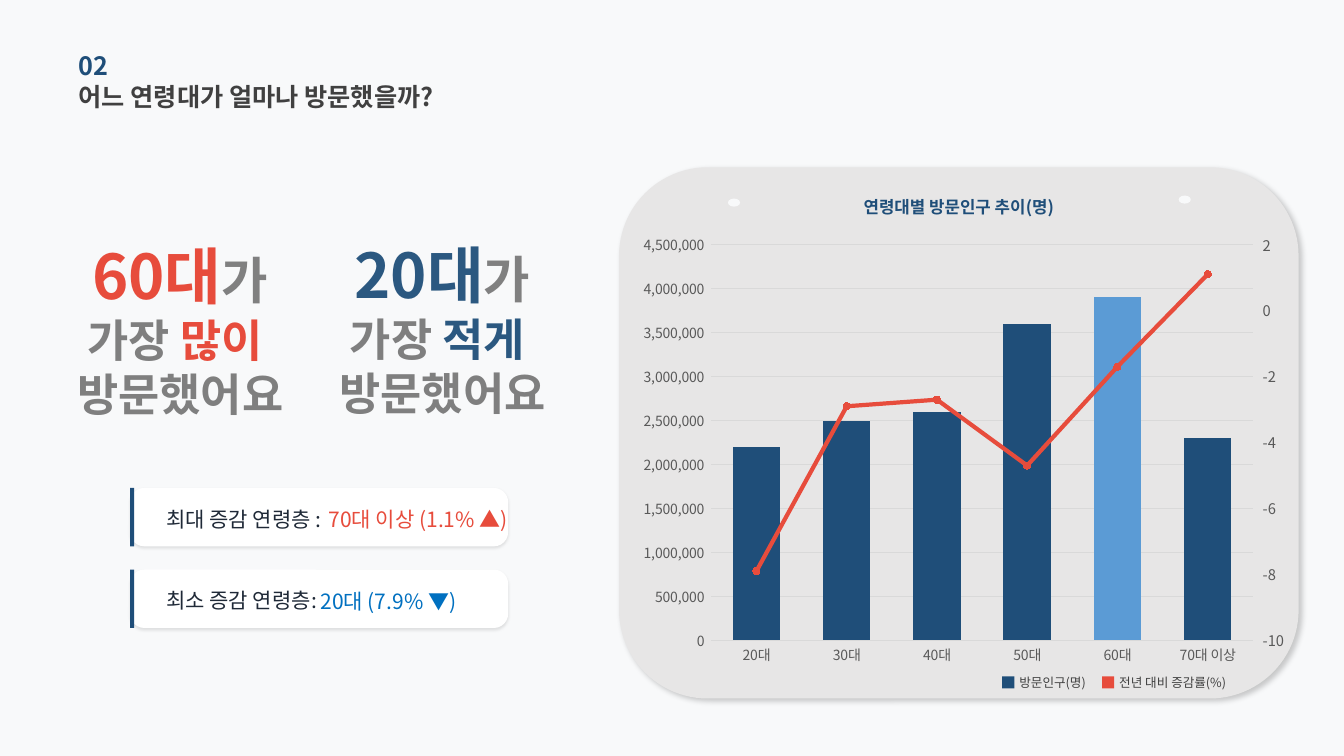
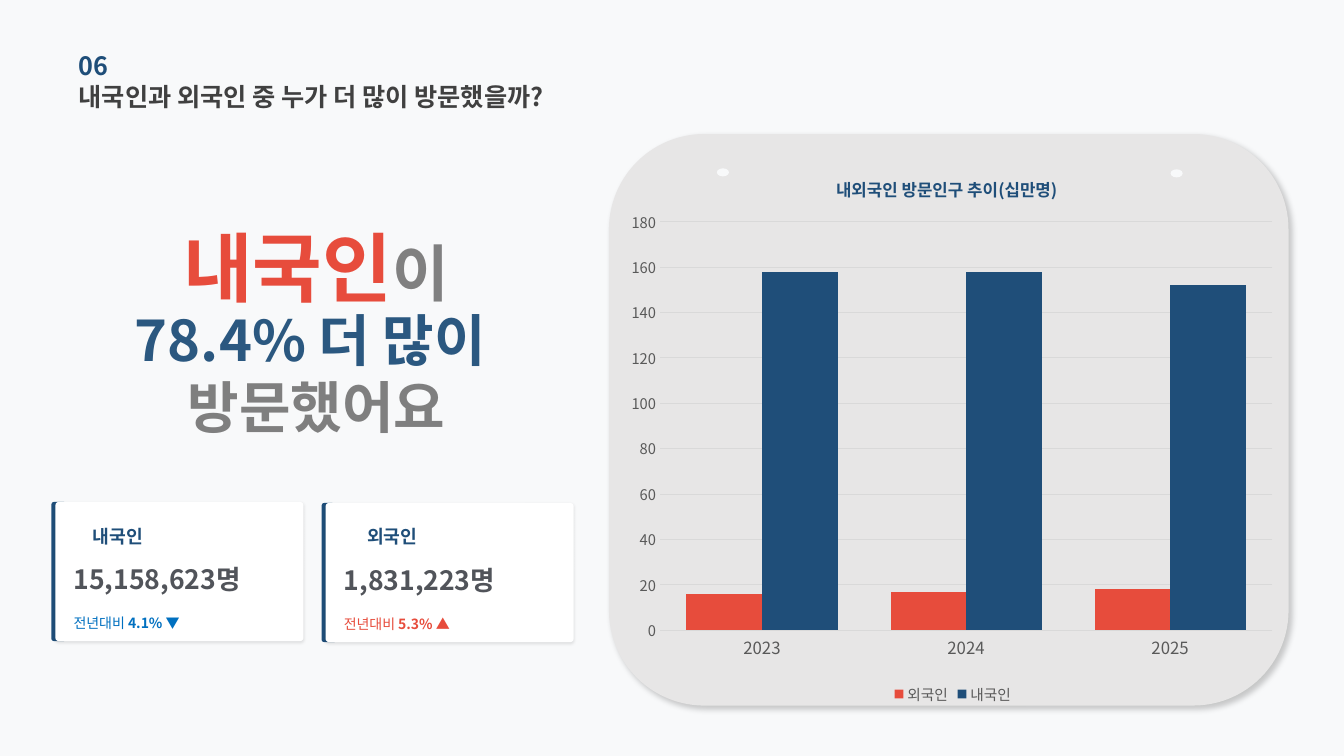
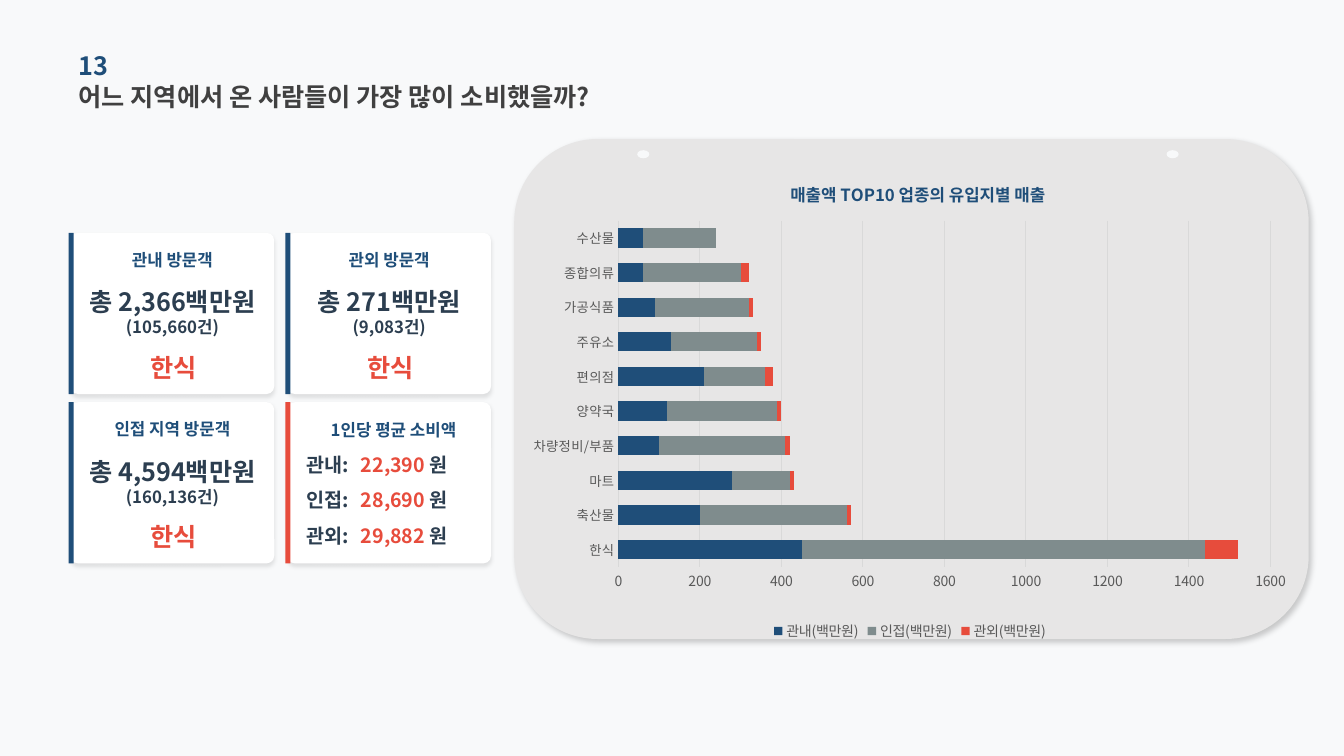
from pptx import Presentation
from pptx.chart.data import CategoryChartData
from pptx.dml.color import RGBColor
from pptx.enum.chart import XL_CHART_TYPE, XL_LEGEND_POSITION, XL_MARKER_STYLE, XL_TICK_MARK
from pptx.enum.shapes import MSO_SHAPE
from pptx.enum.text import MSO_ANCHOR, PP_ALIGN
from pptx.oxml import parse_xml
from pptx.oxml.ns import nsdecls, qn
from pptx.util import Pt
from lxml.etree import SubElement

PX = 9144
FONT = "Noto Sans CJK KR"
PAPER, PANEL, WHITE = "F8F9FA", "E7E6E6", "FFFFFF"
NAVY, STEEL, RED, BLUE = "1F4E79", "2B5880", "E74C3C", "0070C0"
DARK, GRAY, SLATE, AXIS, GRID = "404040", "7F7F7F", "2C3E50", "595959", "D9D9D9"
PANEL_SHADOW = (20, 4, 3, 45)
CARD_SHADOW = (10, 2, 1, 90)
TILE_SHADOW = (10, 3, 2, 90)
rgb = RGBColor.from_string


def add_box(s, kind, x, y, w, h, color, adj=None, shadow=None):
    sp = s.shapes.add_shape(kind, x * PX, y * PX, w * PX, h * PX)
    sp.shadow.inherit = False
    sp.fill.solid()
    sp.fill.fore_color.rgb = rgb(color)
    sp.line.fill.background()
    if adj is not None:
        sp.adjustments[0] = adj
    if shadow:
        alpha, blur, dist, angle = shadow
        outer = SubElement(sp._element.spPr.find(qn("a:effectLst")), qn("a:outerShdw"),
                           blurRad=str(Pt(blur)), dist=str(Pt(dist)),
                           dir=str(angle * 60000), algn="ctr", rotWithShape="0")
        black = SubElement(outer, qn("a:srgbClr"), val="000000")
        SubElement(black, qn("a:alpha"), val=str(alpha * 1000))


def add_text(s, x, y, w, h, *lines, align=PP_ALIGN.LEFT):
    tf = s.shapes.add_textbox(x * PX, y * PX, w * PX, h * PX).text_frame
    tf.word_wrap = True
    tf.vertical_anchor = MSO_ANCHOR.MIDDLE
    tf.margin_left = tf.margin_right = tf.margin_top = tf.margin_bottom = 0
    for i, line in enumerate(lines):
        p = tf.add_paragraph() if i else tf.paragraphs[0]
        p.alignment = align
        for text, size, color, bold in line:
            r = p.add_run()
            r.text = text
            r.font.name = FONT
            r.font.size = Pt(size)
            r.font.bold = bold
            r.font.color.rgb = rgb(color)


prs = Presentation()
prs.slide_width, prs.slide_height = 1333 * PX, 750 * PX

pages = [
    dict(number="02", title="어느 연령대가 얼마나 방문했을까?",
         panel=(614, 166, 674, 527), holes=[(722, 197), (1169, 194)],
         chart=(626, 225, 663, 446), kind=XL_CHART_TYPE.COLUMN_CLUSTERED,
         chart_title=None, plot=(0.12, 0.04, 0.81, 0.88), gap=90, overlap=-27,
         sizes=(10, 10, 10), scale=(0, 4500000, 500000), number_format="#,##0_ ",
         cats=["20대", "30대", "40대", "50대", "60대", "70대 이상"],
         series=[("방문인구(명)", NAVY, [2200000, 2500000, 2600000, 3600000, 3900000, 2300000]),
                 ("전년 대비 증감률(%)", RED, [-7.9, -2.9, -2.7, -4.7, -1.7, 1.1])]),
    dict(number="06", title="내국인과 외국인 중 누가 더 많이 방문했을까?",
         panel=(604, 133, 674, 567), holes=[(711, 167), (1161, 168)],
         chart=(615, 148, 660, 555), kind=XL_CHART_TYPE.COLUMN_CLUSTERED,
         chart_title=("내외국인 방문인구 추이(십만명)", 0.32, 0.04),
         plot=(0.06, 0.13, 0.92, 0.73), gap=70, overlap=0,
         sizes=(12, 10.5, 10.5), scale=(0, 180, 20), number_format="General",
         cats=["2023", "2024", "2025"],
         series=[("외국인", RED, [16, 17, 18]), ("내국인", NAVY, [158, 158, 152])]),
    dict(number="13", title="어느 지역에서 온 사람들이 가장 많이 소비했을까?",
         panel=(510, 138, 788, 496), holes=[(632, 149), (1157, 149)],
         chart=(522, 156, 761, 484), kind=XL_CHART_TYPE.BAR_STACKED,
         chart_title=("매출액 TOP10 업종의 유입지별 매출", 0.34, 0.04),
         plot=(0.12, 0.13, 0.85, 0.71), gap=80, overlap=100,
         sizes=(9.5, 10, 10), scale=(0, 1600, 200), number_format="General",
         cats=["한식", "축산물", "마트", "차량정비/부품", "양약국", "편의점", "주유소",
               "가공식품", "종합의류", "수산물"],
         series=[("관내(백만원)", NAVY, [450, 200, 280, 100, 120, 210, 130, 90, 60, 60]),
                 ("인접(백만원)", "7F8C8D", [990, 360, 140, 310, 270, 150, 210, 230, 240, 180]),
                 ("관외(백만원)", RED, [80, 10, 10, 10, 10, 20, 10, 10, 20, 0])]),
]

slides, charts = [], []
for page in pages:
    s = prs.slides.add_slide(prs.slide_layouts[6])
    s.background.fill.solid()
    s.background.fill.fore_color.rgb = rgb(PAPER)
    add_box(s, MSO_SHAPE.ROUNDED_RECTANGLE, *page["panel"], PANEL, shadow=PANEL_SHADOW)
    add_text(s, 78, 75, 535, 41, [(page["title"], 18, DARK, True)])
    add_text(s, 78, 44, 452, 41, [(page["number"], 18, NAVY, True)])
    for x, y in page["holes"]:
        add_box(s, MSO_SHAPE.OVAL, x, y, 12, 8, PAPER)

    data = CategoryChartData()
    data.categories = page["cats"]
    for name, color, values in page["series"]:
        data.add_series(name, values)
    box = [n * PX for n in page["chart"]]
    chart = s.shapes.add_chart(page["kind"], *box, data).chart
    chart.font.name = FONT
    chart.font.size = Pt(10)
    plot = chart.plots[0]
    plot.gap_width, plot.overlap = page["gap"], page["overlap"]
    plot.vary_by_categories = False
    for series, (name, color, values) in zip(plot.series, page["series"]):
        series.invert_if_negative = False
        series.format.fill.solid()
        series.format.fill.fore_color.rgb = rgb(color)

    cat_size, val_size, legend_size = page["sizes"]
    cat_axis, val_axis = chart.category_axis, chart.value_axis
    for axis, size in ((cat_axis, cat_size), (val_axis, val_size)):
        axis.major_tick_mark = axis.minor_tick_mark = XL_TICK_MARK.NONE
        font = axis.tick_labels.font
        font.name, font.size = FONT, Pt(size)
        font.color.rgb = rgb(AXIS)
    val_axis.minimum_scale, val_axis.maximum_scale, val_axis.major_unit = page["scale"]
    val_axis.tick_labels.number_format = page["number_format"]
    val_axis.tick_labels.number_format_is_linked = False
    val_axis.has_major_gridlines = True
    val_axis.format.line.fill.background()
    for line in (cat_axis.format.line, val_axis.major_gridlines.format.line):
        line.color.rgb = rgb(GRID)
        line.width = Pt(0.75)

    layouts = [(chart._chartSpace.chart.plotArea, 0, page["plot"])]
    chart.has_legend = chart.has_title = page["chart_title"] is not None
    if chart.has_title:
        text, x, y = page["chart_title"]
        tf = chart.chart_title.text_frame
        tf.text = text
        font = tf.paragraphs[0].runs[0].font
        font.name, font.size, font.bold = FONT, Pt(12), True
        font.color.rgb = rgb(NAVY)
        layouts.append((chart.chart_title._element, 1, (x, y)))
        chart.legend.position = XL_LEGEND_POSITION.BOTTOM
        chart.legend.include_in_layout = False
        font = chart.legend.font
        font.name, font.size = FONT, Pt(legend_size)
        font.color.rgb = rgb(AXIS)
    for parent, index, place in layouts:
        for old in parent.findall(qn("c:layout")):
            parent.remove(old)
        layout = parse_xml(f"<c:layout {nsdecls('c')}/>")
        manual = SubElement(layout, qn("c:manualLayout"))
        if len(place) == 4:
            SubElement(manual, qn("c:layoutTarget"), val="inner")
        for tag in ("xMode", "yMode"):
            SubElement(manual, qn("c:" + tag), val="edge")
        for tag, value in zip("xywh", place):
            SubElement(manual, qn("c:" + tag), val=str(value))
        parent.insert(index, layout)
    slides.append(s)
    charts.append(chart)

age_slide, nation_slide, spend_slide = slides

chart = charts[0]
highlight = chart.plots[0].series[0].points[4].format.fill
highlight.solid()
highlight.fore_color.rgb = rgb("5B9BD5")
bars = chart.plots[0]._element
rate = bars.findall(qn("c:ser"))[1]
rate.remove(rate.find(qn("c:invertIfNegative")))
line_chart = parse_xml(
    f'<c:lineChart {nsdecls("c")}><c:grouping val="standard"/><c:varyColors val="0"/>'
    '<c:marker val="1"/><c:axId val="5001"/><c:axId val="5002"/></c:lineChart>')
line_chart.insert(2, rate)
bars.addnext(line_chart)
right_axes = parse_xml(
    f'<c:plotArea {nsdecls("c", "a")}>'
    '<c:catAx><c:axId val="5001"/><c:scaling><c:orientation val="minMax"/></c:scaling>'
    '<c:delete val="1"/><c:axPos val="b"/><c:crossAx val="5002"/></c:catAx>'
    '<c:valAx><c:axId val="5002"/><c:scaling><c:orientation val="minMax"/>'
    '<c:max val="2"/><c:min val="-10"/></c:scaling><c:delete val="0"/><c:axPos val="r"/>'
    '<c:numFmt formatCode="General" sourceLinked="0"/><c:majorTickMark val="out"/>'
    '<c:minorTickMark val="none"/><c:tickLblPos val="nextTo"/>'
    '<c:spPr><a:ln><a:noFill/></a:ln></c:spPr>'
    '<c:txPr><a:bodyPr/><a:p><a:pPr><a:defRPr sz="1050"><a:solidFill>'
    f'<a:srgbClr val="{AXIS}"/></a:solidFill><a:latin typeface="{FONT}"/></a:defRPr></a:pPr></a:p></c:txPr>'
    '<c:crossAx val="5001"/><c:crosses val="max"/><c:majorUnit val="2"/></c:valAx></c:plotArea>')
last_axis = chart.value_axis._element
for axis in reversed(list(right_axes)):
    last_axis.addnext(axis)
series = chart.plots[1].series[0]
series.smooth = False
series.format.line.color.rgb = rgb(RED)
series.format.line.width = Pt(3)
series.marker.style = XL_MARKER_STYLE.CIRCLE
series.marker.size = 5
series.marker.format.fill.solid()
series.marker.format.fill.fore_color.rgb = rgb(RED)
series.marker.format.line.color.rgb = rgb(RED)

s = age_slide
add_text(s, 803, 190, 296, 30, [("연령대별 방문인구 추이(명)", 12, NAVY, True)], align=PP_ALIGN.CENTER)
for x, (name, color, values) in zip((994, 1093), pages[0]["series"]):
    add_box(s, MSO_SHAPE.RECTANGLE, x, 671, 12, 12, color)
    add_text(s, x + 17, 668, 118, 18, [(name, 9, DARK, False)])
for x, y, age, amount, color in ((-36, 249, "60대", "많이 ", RED), (224, 248, "20대", "적게 ", STEEL)):
    add_text(s, x, y, 429, 48, [(age, 44, color, True), ("가", 36, "808080", True)],
             align=PP_ALIGN.CENTER)
    add_text(s, x - 61, y + 73, 552, 84,
             [("가장 ", 32, GRAY, True), (amount, 32, color, True)],
             [("방문했어요", 32, GRAY, True)], align=PP_ALIGN.CENTER)
for y, label, x, value, color in ((484, "최대 증감 연령층 :", 326, "70대 이상 (1.1% ▲)", RED),
                                  (565, "최소 증감 연령층:", 318, "20대 (7.9% ▼)", BLUE)):
    add_box(s, MSO_SHAPE.ROUNDED_RECTANGLE, 129, y, 375, 58, WHITE, 0.245, CARD_SHADOW)
    add_box(s, MSO_SHAPE.RECTANGLE, 129, y, 4, 58, NAVY)
    add_text(s, 165, y + 20, 193, 21, [(label, 15, "1F2937", False)])
    add_text(s, x, y + 19, 200, 24, [(value, 15, color, False)])

s = nation_slide
add_text(s, 99, 240, 429, 48, [("내국인", 54, RED, True), ("이", 44, "808080", True)],
         align=PP_ALIGN.CENTER)
add_text(s, 38, 328, 552, 84, [("78.4% 더 많이 ", 40, STEEL, True)],
         [("방문했어요", 40, GRAY, True)], align=PP_ALIGN.CENTER)
for x, y, indent, name, count, change, color in (
        (55, 498, 37, "내국인", "15,158,623명", "4.1% ▼", BLUE),
        (323, 499, 41, "외국인", "1,831,223명", "5.3% ▲", RED)):
    add_box(s, MSO_SHAPE.ROUNDED_RECTANGLE, x - 4, y, 15, 138, NAVY)
    add_box(s, MSO_SHAPE.ROUNDED_RECTANGLE, x, y, 246, 138, WHITE, 0.023, CARD_SHADOW)
    add_text(s, x + indent, 518, 65, 28, [(name, 13, NAVY, True)])
    add_text(s, x + 18, y + 57, 252, 39, [(count, 19, "51545A", True)])
    add_text(s, x + 18, y + 97, 240, 45, [("전년대비 ", 10, color, False), (change, 10, color, True)])

s = spend_slide
tiles = [("관내 방문객", "총 2,366백만원", "(105,660건)"),
         ("관외 방문객", "총 271백만원", "(9,083건)"),
         ("인접 지역 방문객", "총 4,594백만원", "(160,136건)"),
         ("1인당 평균 소비액", None, None)]
for i, (name, total, count) in enumerate(tiles):
    x, y = 70 + i % 2 * 215, 231 + i // 2 * 168
    add_box(s, MSO_SHAPE.ROUNDED_RECTANGLE, x, y, 202, 160, WHITE, 0.048, TILE_SHADOW)
    add_box(s, MSO_SHAPE.RECTANGLE, x - 2, y, 5, 160, NAVY if total else RED)
    if total:
        add_text(s, x, y + 11, 202, 31, [(name, 12, NAVY, True)], align=PP_ALIGN.CENTER)
        add_text(s, x, y + 55, 202, 47, [(total, 18, SLATE, True)], [(count, 12, SLATE, True)],
                 align=PP_ALIGN.CENTER)
        add_text(s, x + 3, y + 110, 199, 47, [("한식", 18, RED, True)], align=PP_ALIGN.CENTER)
    else:
        add_text(s, x + 43, y + 15, 140, 25, [(name, 12, NAVY, True)])
        for row, (label, value) in enumerate((("관내:", "22,390 "), ("인접:", "28,690 "), ("관외:", "29,882 "))):
            add_text(s, x + 19, y + 47 + row * 35, 59, 30, [(label, 14, SLATE, True)])
            add_text(s, x + 73, y + 47 + row * 35, 120, 30,
                     [(value, 14, RED, True), ("원", 14, SLATE, True)])

for root in [s._element for s in slides] + [chart._chartSpace for chart in charts]:
    for latin in list(root.iter(qn("a:latin"))):
        latin.addnext(parse_xml(f'<a:ea {nsdecls("a")} typeface="{FONT}"/>'))

prs.save("out.pptx")
